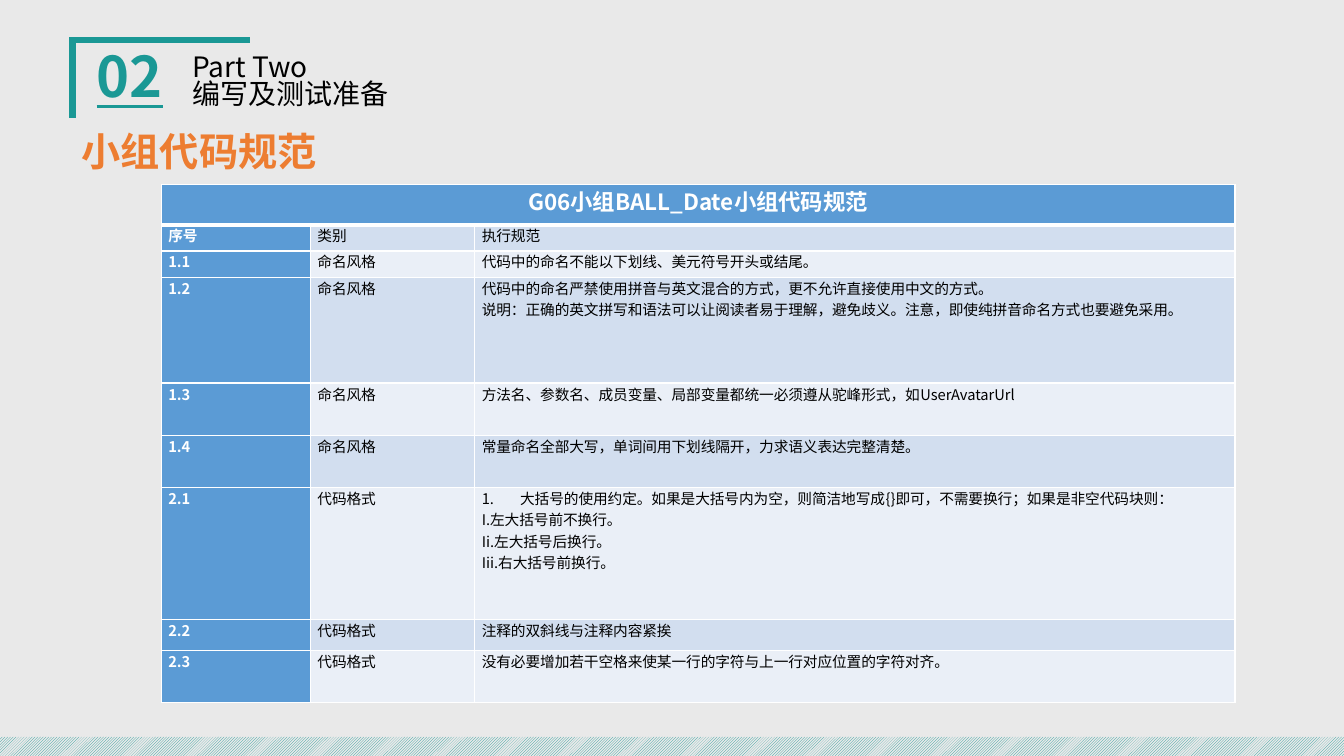
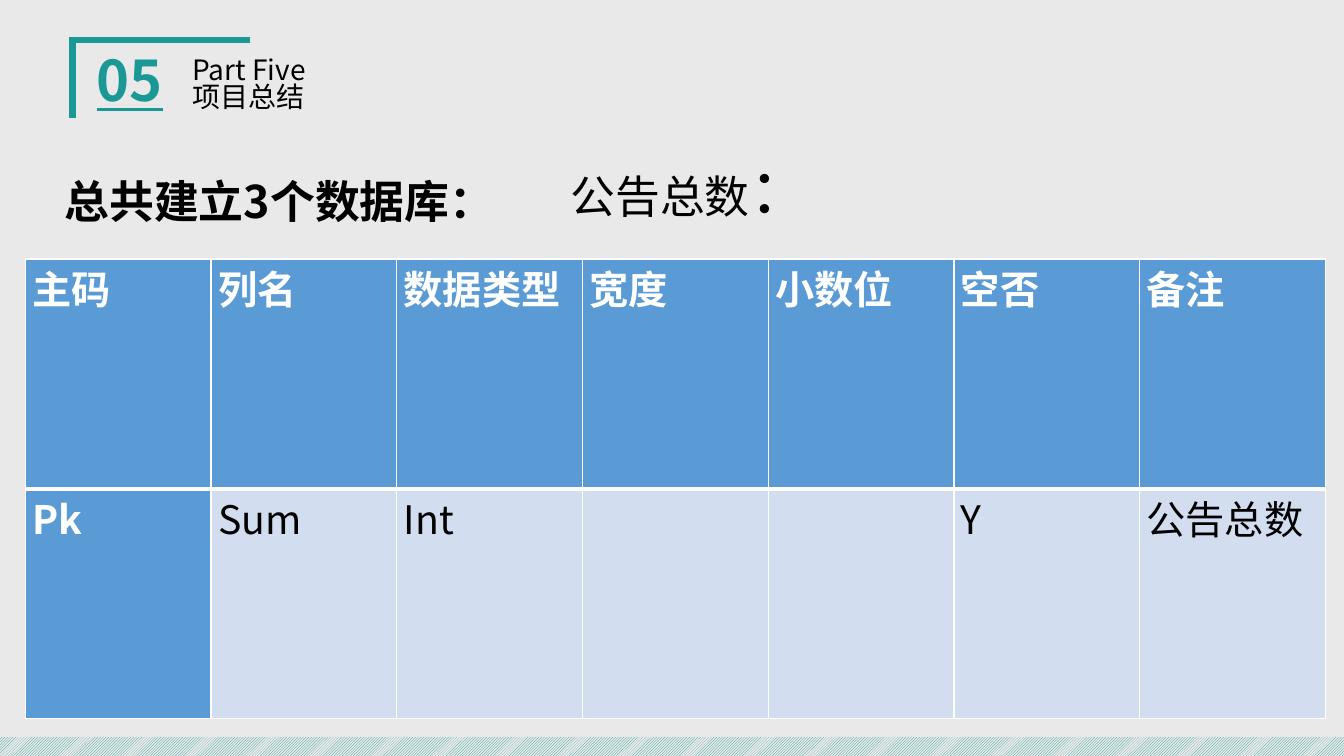
"""Builds two section slides: a coding-rules table and a database-column table."""
from dataclasses import dataclass

from pptx import Presentation
from pptx import util as u
from pptx.dml.color import RGBColor
from pptx.enum import dml, shapes, text
from pptx.oxml import xmlchemy as xml


@dataclass(frozen=True)
class Theme:
    """Colours, font and type sizes of the deck."""
    paper: str = "E9E9E9"
    teal: str = "1A9895"
    orange: str = "ED7D31"
    blue: str = "5B9BD5"
    bands: tuple[str, str] = ("EAEFF7", "D2DEEF")
    white: str = "FFFFFF"
    black: str = "000000"
    font: str = "Noto Sans CJK SC"
    number: float = 40
    heading: float = 20
    topic: float = 28
    statement: float = 32
    colon: float = 44
    table_title: float = 16
    rule: float = 10.5
    field: float = 28
    leading: float = 0.82
    thin: float = 1
    thick: float = 3


@dataclass(frozen=True)
class Area:
    """Left, top, width and height as percentages of the slide."""
    left: float
    top: float
    width: float
    height: float


@dataclass(frozen=True)
class Span:
    """A stretch of text in one format."""
    words: str
    size: float
    color: str = "000000"
    bold: bool = False
    underline: bool = False


@dataclass(frozen=True)
class Section:
    """The numbered heading of a slide."""
    number: str
    label: str
    title: str
    top: float


@dataclass(frozen=True)
class Grid:
    """A table: its place, track sizes in percent, and its text."""
    left: float
    top: float
    columns: list[float]
    rows: list[float]
    cells: list[list[str]]
    head_size: float
    body_size: float
    title: bool = False


THEME = Theme()
WIDTH, HEIGHT = u.Inches(13.33), u.Inches(7.5)

RULES = Grid(
    12, 24.4, [11.1, 12.23, 56.56],
    [5.33, 3.47, 3.47, 14, 6.93, 6.93, 17.47, 4, 6.93],
    [
        ["G06小组BALL_Date小组代码规范", "", ""],
        ["序号", "类别", "执行规范"],
        ["1.1", "命名风格", "代码中的命名不能以下划线、美元符号开头或结尾。"],
        ["1.2", "命名风格",
         "代码中的命名严禁使用拼音与英文混合的方式，更不允许直接使用中文的方式。\n"
         "说明：正确的英文拼写和语法可以让阅读者易于理解，避免歧义。"
         "注意，即使纯拼音命名方式也要避免采用。"],
        ["1.3", "命名风格",
         "方法名、参数名、成员变量、局部变量都统一必须遵从驼峰形式，如UserAvatarUrl"],
        ["1.4", "命名风格", "常量命名全部大写，单词间用下划线隔开，力求语义表达完整清楚。"],
        ["2.1", "代码格式",
         "大括号的使用约定。如果是大括号内为空，则简洁地写成{}即可，"
         "不需要换行；如果是非空代码块则：\n"
         "I.左大括号前不换行。\nIi.左大括号后换行。\nIii.右大括号前换行。"],
        ["2.2", "代码格式", "注释的双斜线与注释内容紧挨"],
        ["2.3", "代码格式", "没有必要增加若干空格来使某一行的字符与上一行对应位置的字符对齐。"],
    ],
    THEME.table_title, THEME.rule, title=True)

FIELDS = Grid(
    1.88, 34.27, [13.82] * 7, [30.4] * 2,
    [
        ["主码", "列名", "数据类型", "宽度", "小数位", "空否", "备注"],
        ["Pk", "Sum", "Int", "", "", "Y", "公告总数"],
    ],
    THEME.field, THEME.field)


def across(share: float) -> int:
    """Turn a percentage of the slide's width into a length."""
    return round(WIDTH * share / 100)


def down(share: float) -> int:
    """Turn a percentage of the slide's height into a length."""
    return round(HEIGHT * share / 100)


def rgb(color: str) -> RGBColor:
    """Read a hexadecimal colour."""
    return RGBColor.from_string(color)


def add_child(parent, tag: str, **values: str):
    """Append a drawing element with its attributes."""
    child = xml.OxmlElement(tag)
    for name, value in values.items():
        child.set(name, value)
    parent.append(child)
    return child


def set_all(target, values: dict) -> None:
    """Set attributes from a dict of format values."""
    for name, value in values.items():
        setattr(target, name, value)


def write_spans(para, spans: list[Span]) -> None:
    """Write formatted spans into a paragraph."""
    for span in spans:
        run = para.add_run()
        run.text = span.words
        set_all(run.font, {"size": u.Pt(span.size), "bold": span.bold,
                           "underline": span.underline, "name": THEME.font})
        run.font.color.rgb = rgb(span.color)
        add_child(run.font._element, "a:ea", typeface=THEME.font)


def add_text(page, area: Area, lines: list[list[Span]], wrap: bool = True):
    """Add a text box with one paragraph for each line."""
    box = page.shapes.add_textbox(across(area.left), down(area.top),
                                  across(area.width), down(area.height))
    largest = max(span.size for line in lines for span in line)
    set_all(box.text_frame, {"word_wrap": wrap,
                             "margin_top": u.Inches(0.05) + u.Pt(0.08 * largest)})
    for index, line in enumerate(lines):
        frame = box.text_frame
        para = frame.add_paragraph() if index else frame.paragraphs[0]
        para.line_spacing = THEME.leading
        write_spans(para, line)
    return box


def add_page(deck, section: Section):
    """Add a slide with the corner frame, footer band and section heading."""
    page = deck.slides.add_slide(deck.slide_layouts[6])
    page.background.fill.solid()
    page.background.fill.fore_color.rgb = rgb(THEME.paper)

    left, top, right, bottom = across(5.4), down(5.33), across(18.6), down(15.6)
    outline = page.shapes.build_freeform(left, bottom)
    outline.add_line_segments([(left, top), (right, top)], close=False)
    frame = outline.convert_to_shape()
    frame.shadow.inherit = False
    frame.fill.background()
    frame.line.color.rgb = rgb(THEME.teal)
    frame.line.width = u.Pt(4.5)
    add_child(frame.line._ln, "a:miter", lim="800000")

    band = page.shapes.add_shape(shapes.MSO_SHAPE.RECTANGLE, 0, down(97.47),
                                 WIDTH, down(2.53))
    band.shadow.inherit = False
    band.line.fill.background()
    band.fill.patterned()
    band.fill.pattern = dml.MSO_PATTERN.LIGHT_UPWARD_DIAGONAL
    band.fill.fore_color.rgb = rgb(THEME.teal)
    band.fill.back_color.rgb = rgb(THEME.paper)

    add_text(page, Area(6.45, section.top, 7.13, 10.27),
             [[Span(section.number, THEME.number, THEME.teal, True, True)]])
    add_text(page, Area(13.58, section.top + 0.45, 38.48, 10.27),
             [[Span(words, THEME.heading)] for words in (section.label, section.title)])
    return page


def add_borders(cell, row: int) -> None:
    """Draw white cell borders, thick below the header row."""
    heavy_side = {0: "B", 1: "T"}.get(row)
    for side in "LRTB":
        weight = THEME.thick if side == heavy_side else THEME.thin
        line = add_child(cell._tc.get_or_add_tcPr(), f"a:ln{side}", w=str(u.Pt(weight)))
        add_child(add_child(line, "a:solidFill"), "a:srgbClr", val=THEME.white)


def fill_cell(cell, words: str, row: int, column: int, grid: Grid) -> None:
    """Format one table cell and write its text."""
    strong = row == 0 or column == 0
    add_borders(cell, row)
    cell.fill.solid()
    cell.fill.fore_color.rgb = rgb(THEME.blue if strong else THEME.bands[row % 2])
    set_all(cell, {"margin_left": u.Inches(0.07), "margin_right": u.Inches(0.07),
                   "margin_top": 0, "margin_bottom": 0})
    centred = grid.title and row == 0
    size = grid.body_size if row else grid.head_size
    for index, line in enumerate(words.split("\n") if words else []):
        frame = cell.text_frame
        para = frame.add_paragraph() if index else frame.paragraphs[0]
        para.alignment = text.PP_ALIGN.CENTER if centred else text.PP_ALIGN.JUSTIFY
        write_spans(para, [Span(line, size, THEME.white if strong else THEME.black, strong)])


def add_grid(page, grid: Grid):
    """Add a table and return it."""
    table = page.shapes.add_table(
        len(grid.rows), len(grid.columns), across(grid.left), down(grid.top),
        across(sum(grid.columns)), down(sum(grid.rows))).table
    for column, share in zip(table.columns, grid.columns):
        column.width = across(share)
    for row, share in zip(table.rows, grid.rows):
        row.height = down(share)
    if grid.title:
        table.cell(0, 0).merge(table.cell(0, len(grid.columns) - 1))
    for row, line in enumerate(grid.cells):
        for column, words in enumerate(line):
            fill_cell(table.cell(row, column), words, row, column, grid)
    return table


def add_rules_page(deck) -> None:
    """Add the slide with the group's coding rules."""
    page = add_page(deck, Section("02", "Part Two", "编写及测试准备", 5.87))
    add_text(page, Area(5.33, 16.93, 85.3, 7.6),
             [[Span("小组代码规范", THEME.topic, THEME.orange, True)]])
    table = add_grid(page, RULES)
    numbered = table.cell(6, 2).text_frame.paragraphs[0]._p.get_or_add_pPr()
    indent = u.Inches(0.38)
    numbered.set("marL", str(indent))
    numbered.set("indent", str(-indent))
    add_child(numbered, "a:buAutoNum", type="arabicPeriod")


def add_database_page(deck) -> None:
    """Add the slide with the database columns."""
    page = add_page(deck, Section("05", "Part Five", "项目总结", 6.3))
    box = add_text(page, Area(1.88, 23.07, 83.65, 20.67),
                   [[Span("总共建立3个数据库：", THEME.statement, bold=True)]])
    para = box.text_frame.paragraphs[0]
    para.alignment = text.PP_ALIGN.JUSTIFY
    para._p.get_or_add_pPr().set("indent", str(u.Inches(0.29)))
    add_text(page, Area(41.71, 20.53, 19.58, 11.2),
             [[Span("公告总数", THEME.statement), Span("：", THEME.colon)]], wrap=False)
    add_grid(page, FIELDS)


def main() -> None:
    """Build and save the deck."""
    deck = Presentation()
    set_all(deck, {"slide_width": WIDTH, "slide_height": HEIGHT})
    add_rules_page(deck)
    add_database_page(deck)
    deck.save("out.pptx")


if __name__ == "__main__":
    main()
